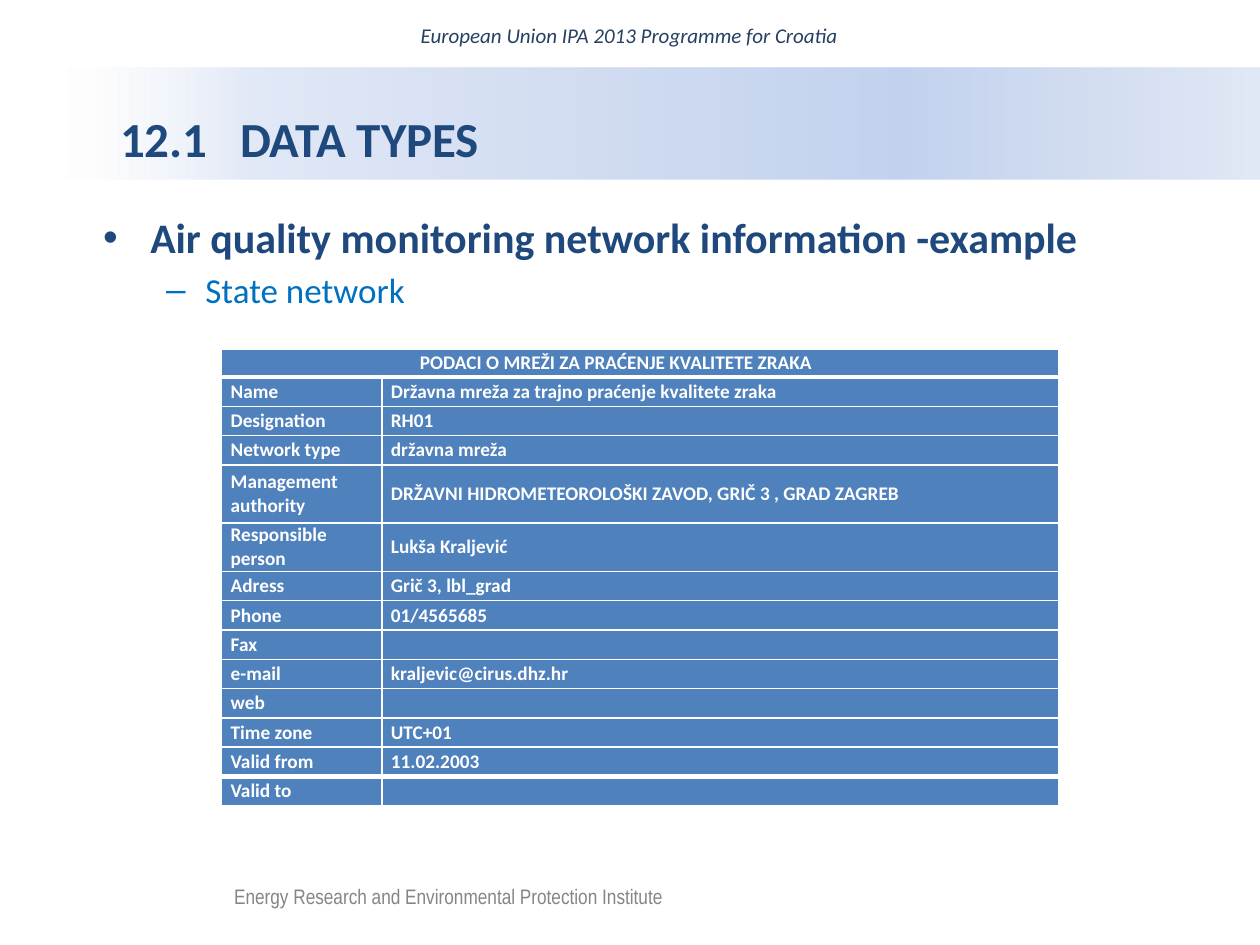
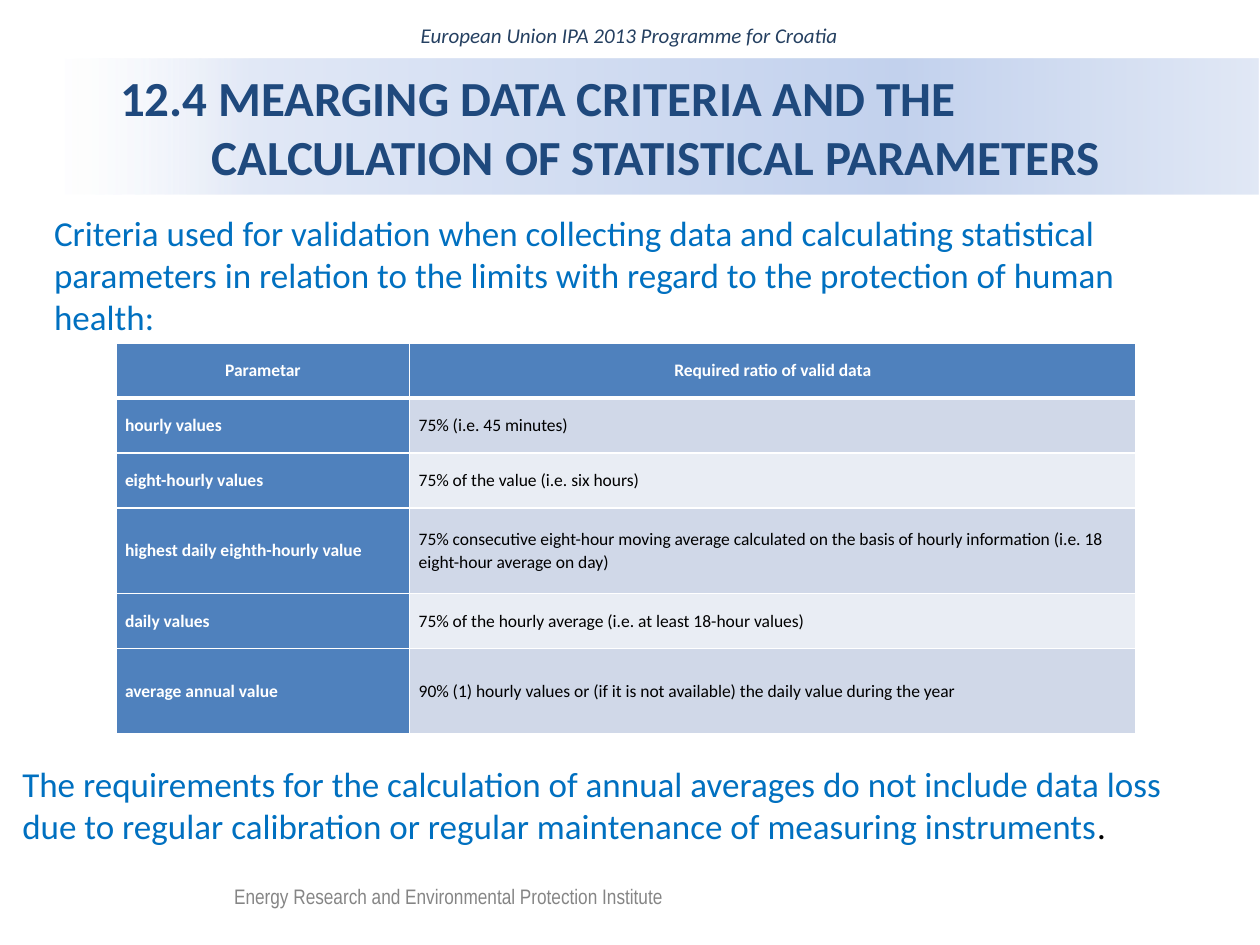
from lxml import etree
from pptx import Presentation
from pptx.dml.color import RGBColor
from pptx.enum import shapes, text
from pptx.oxml import ns
from pptx.util import Cm, Pt

NAVY = RGBColor(0x1F, 0x49, 0x7D)
DEEP_BLUE = RGBColor(0x25, 0x40, 0x61)
BLUE = RGBColor(0x00, 0x70, 0xC0)
CELL_BLUE = RGBColor(0x4F, 0x81, 0xBD)
BAND_DARK = RGBColor(0xD0, 0xD8, 0xE8)
BAND_LIGHT = RGBColor(0xE9, 0xED, 0xF4)
BLACK = RGBColor(0x00, 0x00, 0x00)
WHITE = RGBColor(0xFF, 0xFF, 0xFF)
BAND_STOPS = [(0, WHITE, 52), (16, RGBColor(0xE1, 0xE8, 0xF6), 100),
              (70, RGBColor(0xC2, 0xD1, 0xED), 100), (100, RGBColor(0xE1, 0xE8, 0xF5), 100)]

TITLE = {"size": Pt(28), "name": "Calibri", "bold": True, "color": NAVY}
HEADING = {**TITLE, "size": Pt(24)}
BODY = {"size": Pt(20), "name": "Calibri", "bold": False, "color": BLUE}
BODY_STOP = {**BODY, "color": BLACK}
HEADER = {"size": Pt(12), "name": "Calibri", "italic": True, "color": DEEP_BLUE}
FOOTER = {"size": Pt(12), "name": "Arial Narrow", "color": BLACK}
NETWORK_CELL = {"size": Pt(11), "name": "Calibri", "bold": True, "color": WHITE}
RATIO_LABEL = {**NETWORK_CELL, "size": Pt(10)}
RATIO_VALUE = {**RATIO_LABEL, "bold": False, "color": BLACK}

PROGRAMME = "European Union IPA 2013 Programme for Croatia"
INSTITUTE = "Energy Research and Environmental Protection Institute"

NETWORK_TITLE = "PODACI O MREŽI ZA PRAĆENJE KVALITETE ZRAKA"
NETWORK = [
    ("Name", "Državna mreža za trajno praćenje kvalitete zraka"),
    ("Designation", "RH01"),
    ("Network type", "državna mreža"),
    ("Management authority", "DRŽAVNI HIDROMETEOROLOŠKI ZAVOD, GRIČ 3 , GRAD ZAGREB"),
    ("Responsible person", "Lukša Kraljević"),
    ("Adress", "Grič 3, lbl_grad"),
    ("Phone", "01/4565685"),
    ("Fax", ""),
    ("e-mail", "kraljevic@cirus.dhz.hr"),
    ("web", ""),
    ("Time zone", "UTC+01"),
    ("Valid from", "11.02.2003"),
    ("Valid to", ""),
]
NETWORK_TALL_ROWS = {0: 0.56, 4: 1.17, 5: 0.98}

RATIOS = [
    ("Parametar", "Required ratio of valid data"),
    ("hourly values", "75% (i.e. 45 minutes)"),
    ("eight-hourly values", "75% of the value (i.e. six hours)"),
    ("highest daily eighth-hourly value",
     "75% consecutive eight-hour moving average calculated on the basis of hourly "
     "information (i.e. 18 eight-hour average on day)"),
    ("daily values", "75% of the hourly average (i.e. at least 18-hour values)"),
    ("average annual value",
     "90% (1) hourly values or (if it is not available) the daily value during the year"),
]
RATIO_TALL_ROWS = {3: 1.72, 5: 1.72}

CRITERIA = ("Criteria used for validation when collecting data and calculating statistical "
            "parameters in relation to the limits with regard to the protection of human health:")
CALIBRATION = ("The requirements for the calculation of annual averages do not include data loss "
               "due to regular calibration or regular maintenance of measuring instruments")


def add_xml(parent, tag, **attributes):
    values = {key: str(value) for key, value in attributes.items()}
    return etree.SubElement(parent, ns.qn(tag), values)


def style_font(font, style):
    for key, value in style.items():
        if key == "color":
            font.color.rgb = value
        else:
            setattr(font, key, value)


def add_span(para, words, style):
    span = para.add_run()
    span.text = words
    style_font(span.font, style)


def set_indent(para, left, first):
    properties = para._p.get_or_add_pPr()
    properties.set("marL", str(Cm(left)))
    properties.set("indent", str(Cm(first)))
    return properties


def add_bullet(para, mark, left, first):
    properties = set_indent(para, left, first)
    add_xml(properties, "a:buFont", typeface="Arial")
    add_xml(properties, "a:buChar", char=mark)


def add_text(page, place, spans, align=text.PP_ALIGN.LEFT):
    box = page.shapes.add_textbox(*map(Cm, place))
    box.text_frame.word_wrap = True
    para = box.text_frame.paragraphs[0]
    para.alignment = align
    for words, style in spans:
        add_span(para, words, style)
    return box


def fill_band(shape):
    properties = shape._element.spPr
    gradient = add_xml(properties, "a:gradFill", rotWithShape=1)
    stops = add_xml(gradient, "a:gsLst")
    for position, color, opacity in BAND_STOPS:
        stop = add_xml(stops, "a:gs", pos=position * 1000)
        tone = add_xml(stop, "a:srgbClr", val=color)
        if opacity < 100:
            add_xml(tone, "a:alpha", val=opacity * 1000)
    add_xml(gradient, "a:lin", ang=0, scaled=0)


def add_title(page, words, place, left, first):
    title = page.shapes.title
    title.left, title.top, title.width, title.height = map(Cm, place)
    fill_band(title)
    frame = title.text_frame
    frame.auto_size = text.MSO_AUTO_SIZE.NONE
    frame.vertical_anchor = text.MSO_ANCHOR.MIDDLE
    frame.margin_right = Cm(0.9)
    para = frame.paragraphs[0]
    para.alignment = text.PP_ALIGN.LEFT
    set_indent(para, left, first)
    add_span(para, words, TITLE)
    return para


def add_frame(page):
    add_text(page, (4.47, 17.68, 9.6, 0.76), [(INSTITUTE, FOOTER)])
    veil = page.shapes.add_shape(shapes.MSO_SHAPE.RECTANGLE,
                                 *map(Cm, (1.04, 17.65, 12.67, 1.22)))
    veil.shadow.inherit = False
    veil.fill.solid()
    veil.fill.fore_color.rgb = WHITE
    veil.line.fill.background()
    add_xml(veil._element.spPr.find(".//" + ns.qn("a:srgbClr")), "a:alpha", val=52000)
    header = add_text(page, (0, 0.38, 25.37, 0.81), [(PROGRAMME, HEADER)], text.PP_ALIGN.CENTER)
    header.text_frame.paragraphs[0].line_spacing = 0.9


def format_cell(cell, words, style, fill, margins, heavy_side=None,
                align=text.PP_ALIGN.LEFT, spacing=1.0):
    for side in "LRTB":
        width = Pt(3 if side == heavy_side else 1)
        line = add_xml(cell._tc.get_or_add_tcPr(), "a:ln" + side, w=width)
        add_xml(add_xml(line, "a:solidFill"), "a:srgbClr", val=WHITE)
    cell.fill.solid()
    cell.fill.fore_color.rgb = fill
    cell.vertical_anchor = text.MSO_ANCHOR.MIDDLE
    for side, size in zip(("left", "top", "right", "bottom"), margins):
        setattr(cell, "margin_" + side, Cm(size))
    para = cell.text_frame.paragraphs[0]
    para.alignment = align
    para.line_spacing = spacing
    if words:
        add_span(para, words, style)
    else:
        add_xml(para._p, "a:endParaRPr", sz=int(style["size"].pt * 100))


def add_grid(page, left, top, widths, heights):
    place = map(Cm, (left, top, sum(widths), sum(heights)))
    grid = page.shapes.add_table(len(heights), len(widths), *place).table
    for column, width in zip(grid.columns, widths):
        column.width = Cm(width)
    for row, height in zip(grid.rows, heights):
        row.height = Cm(height)
    return grid


def add_network_table(page):
    heights = [NETWORK_TALL_ROWS.get(row, 0.59) for row in range(len(NETWORK) + 1)]
    grid = add_grid(page, 4.47, 7.04, (3.23, 13.64), heights)
    grid.cell(0, 0).merge(grid.cell(0, 1))
    format_cell(grid.cell(0, 0), NETWORK_TITLE, NETWORK_CELL, CELL_BLUE,
                (0.18, 0, 1.15, 0), "B", text.PP_ALIGN.CENTER)
    for row, record in enumerate(NETWORK, 1):
        heavy_side = {1: "T", len(NETWORK) - 1: "B", len(NETWORK): "T"}.get(row)
        for column, words in enumerate(record):
            format_cell(grid.cell(row, column), words, NETWORK_CELL, CELL_BLUE,
                        (0.18, 0, 0.18, 0), heavy_side)


def add_ratio_table(page):
    heights = [RATIO_TALL_ROWS.get(row, 1.11) for row in range(len(RATIOS))]
    grid = add_grid(page, 2.34, 6.91, (5.92, 14.63), heights)
    for row, record in enumerate(RATIOS):
        for column, words in enumerate(record):
            is_label = row == 0 or column == 0
            band = BAND_DARK if row % 2 else BAND_LIGHT
            format_cell(grid.cell(row, column), words,
                        RATIO_LABEL if is_label else RATIO_VALUE,
                        CELL_BLUE if is_label else band,
                        (0.18, 0.18, 0.18, 0.2), {0: "B", 1: "T"}.get(row),
                        text.PP_ALIGN.LEFT if row else text.PP_ALIGN.CENTER, 1.07)


def build_data_types(page):
    title = add_title(page, "12.1\tDATA TYPES", (1.27, 1.37, 24.13, 2.24), 3.32, -2.42)
    title.line_spacing = 1.5
    body = add_text(page, (1.83, 4.14, 21.59, 13.92),
                    [("Air quality monitoring network information -example", HEADING)])
    add_bullet(body.text_frame.paragraphs[0], "•", 0.95, -0.95)
    network = body.text_frame.add_paragraph()
    network.level = 1
    network.space_before = Pt(4)
    add_bullet(network, "–", 2.06, -0.79)
    add_span(network, "State network", BODY)
    add_frame(page)
    add_network_table(page)


def build_merging_criteria(page):
    add_title(page, "12.4 MEARGING DATA CRITERIA AND THE CALCULATION OF STATISTICAL PARAMETERS",
              (1.24, 1.19, 24.13, 2.72), 2.77, -1.84)
    add_text(page, (0.84, 4.14, 22.94, 7.49), [(CRITERIA, BODY)])
    add_frame(page)
    add_text(page, (0.2, 15.24, 24.33, 1.96), [(CALIBRATION, BODY), (".", BODY_STOP)])
    add_ratio_table(page)


def main():
    deck = Presentation()
    deck.slide_width, deck.slide_height = Cm(25.4), Cm(19.05)
    for build in (build_data_types, build_merging_criteria):
        build(deck.slides.add_slide(deck.slide_layouts[5]))
    deck.save("out.pptx")


if __name__ == "__main__":
    main()
